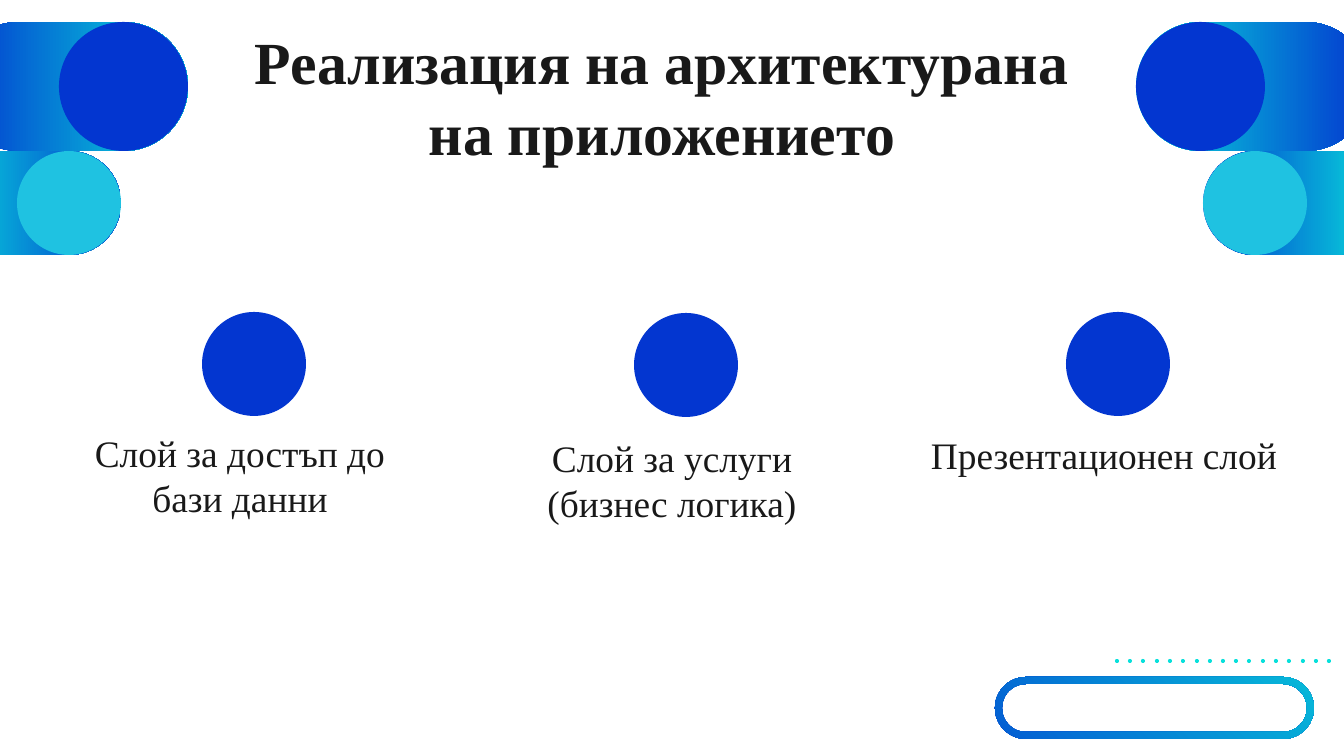
from dataclasses import dataclass
from math import cos, pi, radians, sin

from pptx import Presentation
from pptx.dml.color import RGBColor
from pptx.enum.shapes import MSO_SHAPE
from pptx.enum.text import MSO_ANCHOR, PP_ALIGN
from pptx.util import Emu, Pt

PX = 914400 / 134.4
SLIDE_W, SLIDE_H = 1344, 756
COLORS = {
    "blue": "0336D0",
    "cyan": "08E0DB",
    "sky": "1FC2E1",
    "text": "191919",
}
FONT = "Times New Roman"
Contour = list[tuple[float, float]]


@dataclass(frozen=True)
class Pill:
    """Corner pill; inner is the end nearer the slide's centre."""
    inner_edge: int
    top: int
    width: int
    height: int
    outer_color: str
    inner_color: str
    circle_color: str


@dataclass(frozen=True)
class Layer:
    circle_left: int
    circle_top: int
    text_left: int
    text_top: int
    label: str


PILLS = [
    Pill(188, 22, 234, 129, "blue", "cyan", "blue"),
    Pill(121, 151, 184, 104, "cyan", "blue", "sky"),
]
MIRROR_SUM = 1324
LAYERS = [
    Layer(202, 312, 47, 417, "Слой за достъп до бази данни"),
    Layer(634, 313, 479, 422, "Слой за услуги (бизнес логика)"),
    Layer(1066, 312, 911, 419, "Презентационен слой"),
]
LAYER_CIRCLE = 104
DOT_COUNT, DOT_SIZE = 17, 4
DOTS_LEFT, DOTS_SPAN, DOTS_TOP = 1115, 212, 659
TURN = 315


def px(n: float) -> Emu:
    return Emu(round(n * PX))


def rgb(name: str) -> RGBColor:
    return RGBColor.from_string(COLORS[name])


def paint(sp, *names: str) -> None:
    """Fill with one colour, or with a gradient from left to right."""
    sp.shadow.inherit = False
    sp.line.fill.background()
    if len(names) == 1:
        sp.fill.solid()
        sp.fill.fore_color.rgb = rgb(names[0])
        return
    sp.fill.gradient()
    sp.fill.gradient_angle = 0
    for stop, name in zip(sp.fill.gradient_stops, names):
        stop.color.rgb = rgb(name)


def add_circle(s, left: int, top: int, size: int, color: str) -> None:
    sp = s.shapes.add_shape(MSO_SHAPE.OVAL, px(left), px(top), px(size), px(size))
    paint(sp, color)


def add_pill(s, pill: Pill, mirrored: bool) -> None:
    left = pill.inner_edge - pill.width
    circle_left = pill.inner_edge - pill.height
    colors = [pill.outer_color, pill.inner_color]
    if mirrored:
        left = circle_left = MIRROR_SUM - pill.inner_edge
        colors.reverse()
    sp = s.shapes.add_shape(MSO_SHAPE.ROUNDED_RECTANGLE, px(left), px(pill.top),
                            px(pill.width), px(pill.height))
    sp.adjustments[0] = 0.5
    paint(sp, *colors)
    add_circle(s, circle_left, pill.top, pill.height, pill.circle_color)


def pill_outline(left: int, top: int, width: int, height: int,
                 steps: int = 24) -> Contour:
    radius = height / 2
    points = []
    for center, start in ((left + width - radius, -pi / 2), (left + radius, pi / 2)):
        for i in range(steps + 1):
            angle = start + pi * i / steps
            points.append((center + radius * cos(angle),
                           top + radius + radius * sin(angle)))
    return points


def add_turned_freeform(s, contours: list[Contour], *colors: str) -> None:
    """Draw the contours turned back by TURN, then rotate the shape into place."""
    xs, ys = zip(*(point for contour in contours for point in contour))
    cx, cy = (min(xs) + max(xs)) / 2, (min(ys) + max(ys)) / 2
    c, d = cos(radians(-TURN)), sin(radians(-TURN))
    turned = [[(px(cx + (x - cx) * c - (y - cy) * d),
                px(cy + (x - cx) * d + (y - cy) * c)) for x, y in contour]
              for contour in contours]
    builder = s.shapes.build_freeform(*turned[0][0])
    for i, contour in enumerate(turned):
        if i:
            builder.move_to(*contour[0])
        builder.add_line_segments(contour[1:], close=True)
    sp = builder.convert_to_shape()
    sp.rotation = TURN
    paint(sp, *colors)


def add_dots(s) -> None:
    pitch = DOTS_SPAN / (DOT_COUNT - 1)
    dots = [pill_outline(DOTS_LEFT + round(i * pitch), DOTS_TOP, DOT_SIZE, DOT_SIZE, 8)
            for i in range(DOT_COUNT)]
    for group in (dots[-1:], dots[1:-1], dots[:1]):
        add_turned_freeform(s, group, "cyan")


def add_pill_frame(s, left: int, top: int, width: int, height: int,
                   border: int) -> None:
    outer = pill_outline(left, top, width, height)
    inner = pill_outline(left + border, top + border,
                         width - 2 * border, height - 2 * border)[::-1]
    add_turned_freeform(s, [outer, inner], "blue", "cyan")


def add_text(s, text: str, left: int, top: int, width: int, height: int, *,
             size: int, bold: bool = False, color: str = "text") -> None:
    tf = s.shapes.add_textbox(px(left), px(top), px(width), px(height)).text_frame
    tf.word_wrap = True
    tf.vertical_anchor = MSO_ANCHOR.TOP
    tf.margin_left = tf.margin_right = tf.margin_top = tf.margin_bottom = Pt(7.2)
    p = tf.paragraphs[0]
    p.alignment = PP_ALIGN.CENTER
    r = p.add_run()
    r.text = text
    r.font.name = FONT
    r.font.size = Pt(size)
    r.font.bold = bold
    r.font.color.rgb = rgb(color)


def main() -> None:
    prs = Presentation()
    prs.slide_width, prs.slide_height = px(SLIDE_W), px(SLIDE_H)
    s = prs.slides.add_slide(prs.slide_layouts[6])

    add_dots(s)
    add_pill_frame(s, 995, 677, 319, 62, border=7)
    add_text(s, "Реализация на архитектурана на приложението",
             223, 11, 878, 129, size=32, bold=True)
    for mirrored in (False, True):
        for pill in PILLS:
            add_pill(s, pill, mirrored)
    for layer in LAYERS:
        add_circle(s, layer.circle_left, layer.circle_top, LAYER_CIRCLE, "blue")
        add_text(s, layer.label, layer.text_left, layer.text_top, 386, 163, size=20)

    prs.save("out.pptx")


if __name__ == "__main__":
    main()
